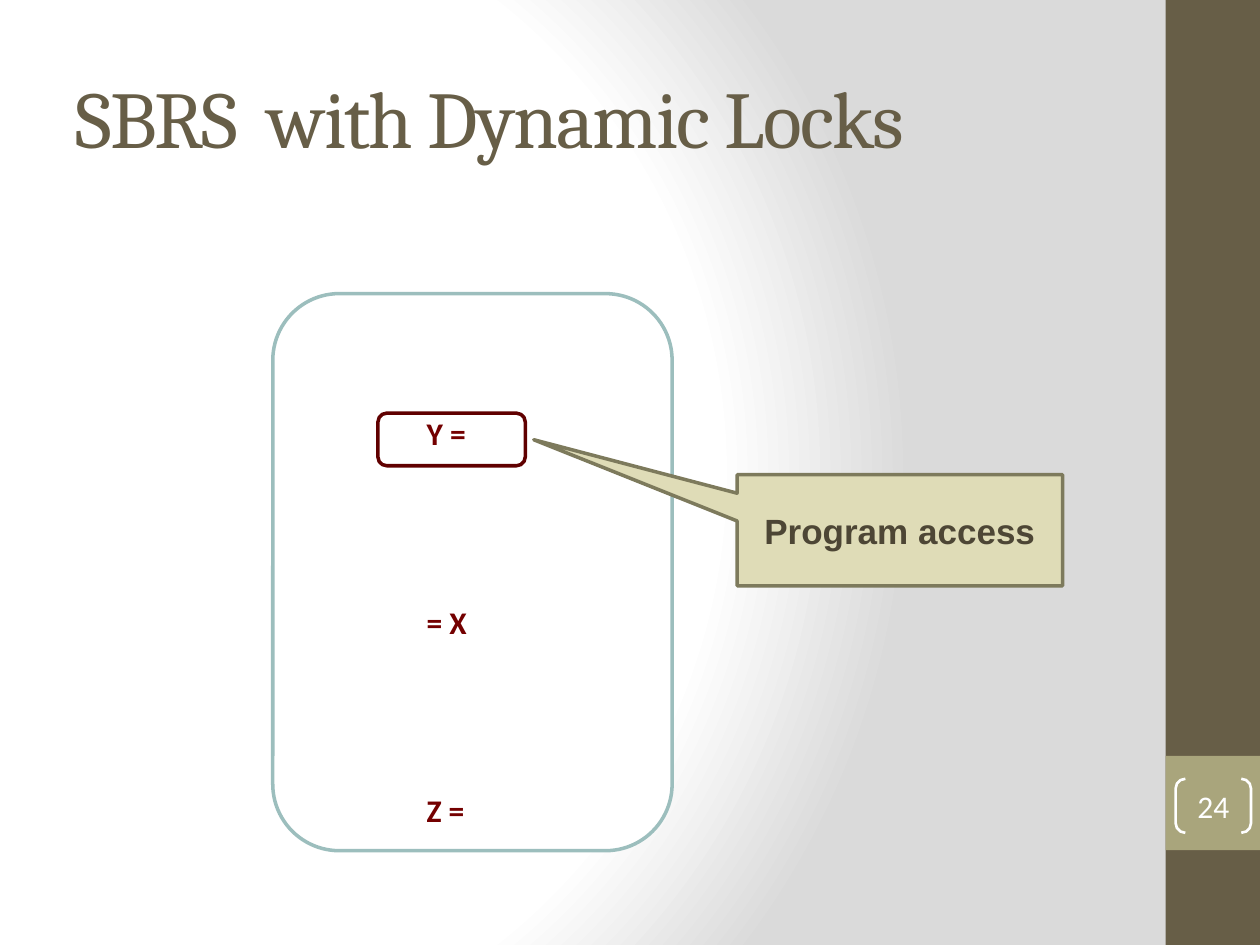
from collections import namedtuple
from dataclasses import dataclass

from lxml import etree
from pptx import Presentation
from pptx import util as u
from pptx.dml.color import RGBColor
from pptx.enum import shapes, text
from pptx.oxml import ns

Box = namedtuple("Box", "x y w h")  # centimetres
MSO = shapes.MSO_SHAPE


@dataclass(frozen=True)
class Theme:
    brown: str = "675E47"
    olive: str = "A9A57C"
    white: str = "FFFFFF"
    grey: str = "DADADA"
    teal: str = "9CBEBD"
    code: str = "740000"
    lock: str = "600000"
    callout: str = "DFDCB7"
    callout_line: str = "7D7A5C"
    callout_text: str = "4D4635"
    title_size: int = 46
    label_size: int = 20
    body_size: int = 18


T = Theme()


def inside(box, x, y, w, h):
    return Box(box.x + x, box.y + y, w, h)


def cm(box):
    return [u.Cm(v) for v in box]


def add_shape(s, kind, box, fill=None, line=None, width=2):
    sp = s.shapes.add_shape(kind, *cm(box))
    sp.shadow.inherit = False
    if fill:
        sp.fill.solid()
        sp.fill.fore_color.rgb = RGBColor.from_string(fill)
    else:
        sp.fill.background()
    if line:
        sp.line.color.rgb = RGBColor.from_string(line)
        sp.line.width = u.Pt(width)
    else:
        sp.line.fill.background()
    return sp


def add_run(p, words, font, size, color, bold=False):
    r = p.add_run()
    r.text = words
    r.font.name, r.font.size, r.font.bold = font, u.Pt(size), bold
    r.font.color.rgb = RGBColor.from_string(color)
    return r


def center_text(sp, *style, **more):
    tf = sp.text_frame
    tf.vertical_anchor = text.MSO_ANCHOR.MIDDLE
    p = tf.paragraphs[0]
    p.alignment = text.PP_ALIGN.CENTER
    add_run(p, *style, **more)


def add_text_box(s, box):
    tf = s.shapes.add_textbox(*cm(box)).text_frame
    tf.word_wrap = True
    return tf


def paint_background(s):
    """White glow from the left, fading to grey."""
    fill = s.background.fill
    fill.gradient()
    grad = fill._fill._gradFill
    for child in list(grad):
        grad.remove(child)
    stops = etree.SubElement(grad, ns.qn("a:gsLst"))
    for pos, color in ((0, T.white), (75, T.white), (100, T.grey)):
        stop = etree.SubElement(stops, ns.qn("a:gs"), pos=str(pos * 1000))
        etree.SubElement(stop, ns.qn("a:srgbClr"), val=color)
    circle = etree.SubElement(grad, ns.qn("a:path"), path="circle")
    etree.SubElement(circle, ns.qn("a:fillToRect"),
                     l="20000", t="50000", r="100000", b="50000")


def draw_sidebar(s, box, number):
    add_shape(s, MSO.RECTANGLE, box, T.brown)
    badge = inside(box, 0, 15.24, box.w, box.w)
    add_shape(s, MSO.RECTANGLE, badge, T.olive)
    sp = add_shape(s, MSO.DOUBLE_BRACKET, inside(badge, 0.2, 0.46, 1.52, 1.09),
                   line=T.white, width=1.5)
    sp.adjustments[0] = 0.18
    tf = sp.text_frame
    tf.margin_left = tf.margin_right = tf.margin_top = tf.margin_bottom = 0
    center_text(sp, number, "Calibri", T.body_size, T.white)


def draw_title(s, box, words):
    tf = add_text_box(s, box)
    tf.vertical_anchor = text.MSO_ANCHOR.MIDDLE
    r = add_run(tf.paragraphs[0], words, "Cambria", T.title_size, T.brown)
    r._r.get_or_add_rPr().set("spc", "-100")


def draw_program(s, box, statements):
    add_shape(s, MSO.ROUNDED_RECTANGLE, box, T.white, T.teal)

    # Statements, evenly spread down the panel
    tf = add_text_box(s, inside(box, 2.85, 2.31, 3.7, 8.74))
    for i, words in enumerate(statements):
        p = tf.paragraphs[0] if i == 0 else tf.add_paragraph()
        if i:
            p.space_before = u.Pt(86)
        add_run(p, words, "Calibri", T.body_size, T.code, bold=True)

    # Lock around the first statement
    add_shape(s, MSO.FLOWCHART_ALTERNATE_PROCESS,
              inside(box, 2.12, 2.41, 2.97, 1.06), line=T.lock)


def draw_callout(s, box, words):
    sp = add_shape(s, MSO.RECTANGULAR_CALLOUT, box, T.callout, T.callout_line)
    sp.adjustments[0], sp.adjustments[1] = -1.125, -0.815
    center_text(sp, words, "Arial", T.label_size, T.callout_text, bold=True)


def main():
    prs = Presentation()
    prs.slide_width, prs.slide_height = u.Cm(25.4), u.Cm(19.05)
    s = prs.slides.add_slide(prs.slide_layouts[6])

    paint_background(s)
    draw_sidebar(s, Box(23.5, 0, 1.9, 19.05), "24")
    draw_title(s, Box(1.27, 0.76, 21.16, 3.18), "SBRS  with Dynamic Locks")
    draw_program(s, Box(5.5, 5.92, 8.05, 11.23), ("Y =", "= X", "Z ="))
    draw_callout(s, Box(14.86, 9.57, 6.56, 2.24), "Program access")

    prs.save("out.pptx")


if __name__ == "__main__":
    main()
